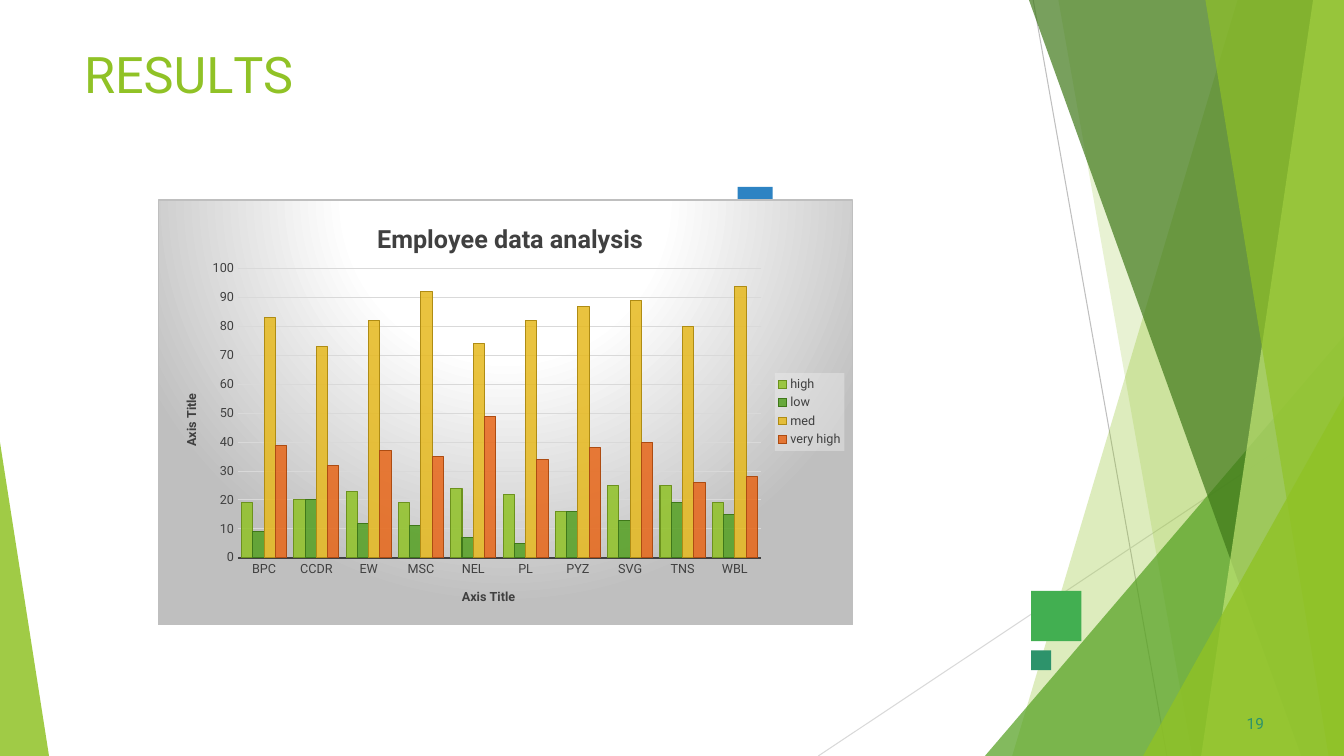
import pptx
import pptx.chart.data
import pptx.dml.color
import pptx.enum.chart
import pptx.enum.shapes
import pptx.oxml
import pptx.oxml.ns
import pptx.util

Pt = pptx.util.Pt
qn = pptx.oxml.ns.qn
SHAPE = pptx.enum.shapes.MSO_SHAPE
FONT = "Roboto"
W, H = 960, 540
C = {
    "lime": "90C226", "green": "54A021", "forest": "3F7819", "pale": "C0E474",
    "gold": "E6B91E", "orange": "E76618", "lime_edge": "6C921D",
    "gold_edge": "AF8C14", "orange_edge": "AD4C12", "square": "42AF51",
    "blue": "2D83C3", "teal": "2D936B", "text": "404040", "grey": "BFBFBF",
    "light": "D9D9D9", "legend": "F2F2F2", "white": "FFFFFF",
}
NS = ('xmlns:c="http://schemas.openxmlformats.org/drawingml/2006/chart" '
      'xmlns:a="http://schemas.openxmlformats.org/drawingml/2006/main"')


def rgb(name):
    return pptx.dml.color.RGBColor.from_string(C[name])


def xml(text):
    return pptx.oxml.parse_xml(text.replace(">", f" {NS}>", 1))


def paint(fmt, color, alpha=100):
    fmt.fill.solid()
    fmt.fill.fore_color.rgb = rgb(color)
    if alpha < 100:
        clr = fmt.fill._xPr.find(qn("a:solidFill"))[0]
        clr.append(xml(f'<a:alpha val="{alpha * 1000}"></a:alpha>'))


def plain(sp, color, alpha=100):
    sp.shadow.inherit = False
    sp.line.fill.background()
    paint(sp, color, alpha)


def style_font(font, size, color, bold=False):
    font.name, font.size, font.bold = FONT, Pt(size), bold
    font.color.rgb = rgb(color)


# Facet decoration
def facet_line(s, x1, y1, x2, y2, color):
    ln = s.shapes.add_connector(pptx.enum.shapes.MSO_CONNECTOR.STRAIGHT,
                                Pt(x1), Pt(y1), Pt(x2), Pt(y2))
    ln.line.color.rgb = rgb(color)
    ln.line.width = Pt(0.75)
    ln._element.spPr.append(xml("<a:effectLst></a:effectLst>"))


def facet_band(s, top_x, bottom_x, color, alpha):
    fb = s.shapes.build_freeform(Pt(top_x), 0)
    fb.add_line_segments([(Pt(W), 0), (Pt(W), Pt(H)), (Pt(bottom_x), Pt(H))])
    plain(fb.convert_to_shape(), color, alpha)


def facet_triangle(s, x, y, w, apex, color, alpha):
    sp = s.shapes.add_shape(SHAPE.ISOSCELES_TRIANGLE,
                            Pt(x), Pt(y), Pt(w), Pt(H - y))
    sp.adjustments[0] = apex
    plain(sp, color, alpha)


def add_facets(s):
    facet_line(s, 738, 0, 833.5, H, "grey")
    facet_line(s, W, 290, 584.5, H, "light")
    facet_band(s, 884, 723, "lime", 30)
    facet_band(s, 756, 851.5, "lime", 20)
    facet_triangle(s, 703.5, 240, 256.5, 1, "green", 72)
    facet_band(s, 735, 929.5, "forest", 70)
    facet_band(s, 938, 858, "pale", 70)
    facet_band(s, 861, 949, "lime", 65)
    facet_triangle(s, 816.5, 283, 143.5, 1, "lime", 80)
    facet_triangle(s, 0, 316, 35, 0, "lime", 85)


# Small accent squares
def add_squares(s):
    for x, y, size, color in [(736.5, 422, 36, "square"),
                              (527, 133.5, 25, "blue"),
                              (736.5, 464.5, 14.25, "teal")]:
        sp = s.shapes.add_shape(SHAPE.RECTANGLE,
                                Pt(x), Pt(y), Pt(size), Pt(size))
        plain(sp, color)


# Text: runs are (text, letter spacing in points)
def add_text(s, x, y, w, h, runs, size, color, before):
    tf = s.shapes.add_textbox(Pt(x), Pt(y), Pt(w), Pt(h)).text_frame
    tf.word_wrap = True
    tf.margin_left = tf.margin_right = tf.margin_bottom = 0
    tf.margin_top = Pt(0.9)
    p = tf.paragraphs[0]
    p.space_before = Pt(before)
    for text, spacing in runs:
        r = p.add_run()
        r.text = text
        style_font(r.font, size, color)
        r.font._element.set("spc", str(round(spacing * 100)))


# Chart
def place(el, x, y, w=None, h=None):
    """Lay out a chart part, in fractions of the chart."""
    for old in el.findall(qn("c:layout")):
        el.remove(old)
    inner = el.tag == qn("c:plotArea")
    parts = '<c:layoutTarget val="inner"/>' if inner else ""
    parts += '<c:xMode val="edge"/><c:yMode val="edge"/>'
    for key, val in zip("xywh", (x, y, w, h)):
        if val is not None:
            parts += f'<c:{key} val="{val}"/>'
    layout = xml(f"<c:layout><c:manualLayout>{parts}</c:manualLayout></c:layout>")
    if inner:
        el.insert(0, layout)
    else:
        el.find(qn("c:overlay")).addprevious(layout)


def set_title(title, text, size, x, y):
    r = title.text_frame.paragraphs[0].add_run()
    r.text = text
    style_font(r.font, size, "text", True)
    place(title._element, x, y)


def chart_background(chart):
    stops = "".join(f'<a:gs pos="{pos}000"><a:srgbClr val="{C[c]}"/></a:gs>'
                    for pos, c in [(0, "white"), (39, "white"), (100, "grey")])
    chart.element.find(qn("c:chart")).addnext(xml(
        f'<c:spPr><a:gradFill><a:gsLst>{stops}</a:gsLst><a:path path="circle">'
        '<a:fillToRect l="50000" t="-80000" r="50000" b="180000"/></a:path>'
        f'</a:gradFill><a:ln w="9525"><a:solidFill><a:srgbClr val="{C["grey"]}"/>'
        '</a:solidFill></a:ln></c:spPr>'))


def style_axes(chart):
    cat, val = chart.category_axis, chart.value_axis
    for axis, x, y in [(cat, 0.434, 0.91), (val, 0.033, 0.45)]:
        axis.major_tick_mark = pptx.enum.chart.XL_TICK_MARK.NONE
        axis.minor_tick_mark = pptx.enum.chart.XL_TICK_MARK.NONE
        style_font(axis.tick_labels.font, 9, "text")
        set_title(axis.axis_title, "Axis Title", 9, x, y)
    cat.format.line.color.rgb = rgb("text")
    cat.format.line.width = Pt(1.5)
    val.minimum_scale, val.maximum_scale, val.major_unit = 0, 100, 10
    val.format.line.fill.background()
    val.major_gridlines.format.line.color.rgb = rgb("light")
    val.major_gridlines.format.line.width = Pt(0.75)


def style_legend(chart):
    chart.has_legend = True
    legend = chart.legend
    legend.position = pptx.enum.chart.XL_LEGEND_POSITION.RIGHT
    legend.include_in_layout = False
    style_font(legend.font, 9, "text")
    place(legend._element, 0.888, 0.408, 0.1, 0.183)
    legend._element.find(qn("c:overlay")).addnext(xml(
        f'<c:spPr><a:solidFill><a:srgbClr val="{C["legend"]}">'
        '<a:alpha val="39000"/></a:srgbClr></a:solidFill></c:spPr>'))


def add_employee_chart(s, x, y, w, h):
    series = [
        ("high", [19, 20, 23, 19, 24, 22, 16, 25, 25, 19], "lime", "lime_edge"),
        ("low", [9, 20, 12, 11, 7, 5, 16, 13, 19, 15], "green", "forest"),
        ("med", [83, 73, 82, 92, 74, 82, 87, 89, 80, 94], "gold", "gold_edge"),
        ("very high", [39, 32, 37, 35, 49, 34, 38, 40, 26, 28],
         "orange", "orange_edge"),
    ]
    data = pptx.chart.data.CategoryChartData()
    data.categories = "BPC CCDR EW MSC NEL PL PYZ SVG TNS WBL".split()
    for name, values, _, _ in series:
        data.add_series(name, values)
    chart = s.shapes.add_chart(pptx.enum.chart.XL_CHART_TYPE.COLUMN_CLUSTERED,
                               Pt(x), Pt(y), Pt(w), Pt(h), data).chart
    style_font(chart.font, 10, "text")
    chart.has_title = True
    set_title(chart.chart_title, "Employee data analysis", 18, 0.309, 0.043)
    plot = chart.plots[0]
    plot.gap_width, plot.overlap, plot.vary_by_categories = 65, 0, False
    for ser, (_, _, fill, edge) in zip(plot.series, series):
        paint(ser.format, fill, 85)
        ser.format.line.color.rgb = rgb(edge)
        ser.format.line.width = Pt(0.75)
    style_axes(chart)
    style_legend(chart)
    place(chart.element.find(".//" + qn("c:plotArea")), 0.115, 0.162, 0.753, 0.681)
    chart_background(chart)


def main():
    prs = pptx.Presentation()
    prs.slide_width, prs.slide_height = Pt(W), Pt(H)
    s = prs.slides.add_slide(prs.slide_layouts[6])
    add_facets(s)
    add_squares(s)
    add_text(s, 60, 30, 192, 60, [("RESU", 0), ("L", -4), ("TS", 0)], 36, "lime", 1.1)
    add_text(s, 890.5, 509.5, 18, 15, [("19", 0.1)], 11, "teal", 0.6)
    add_employee_chart(s, 112.5, 142.5, 497, 304)
    prs.save("out.pptx")


if __name__ == "__main__":
    main()
